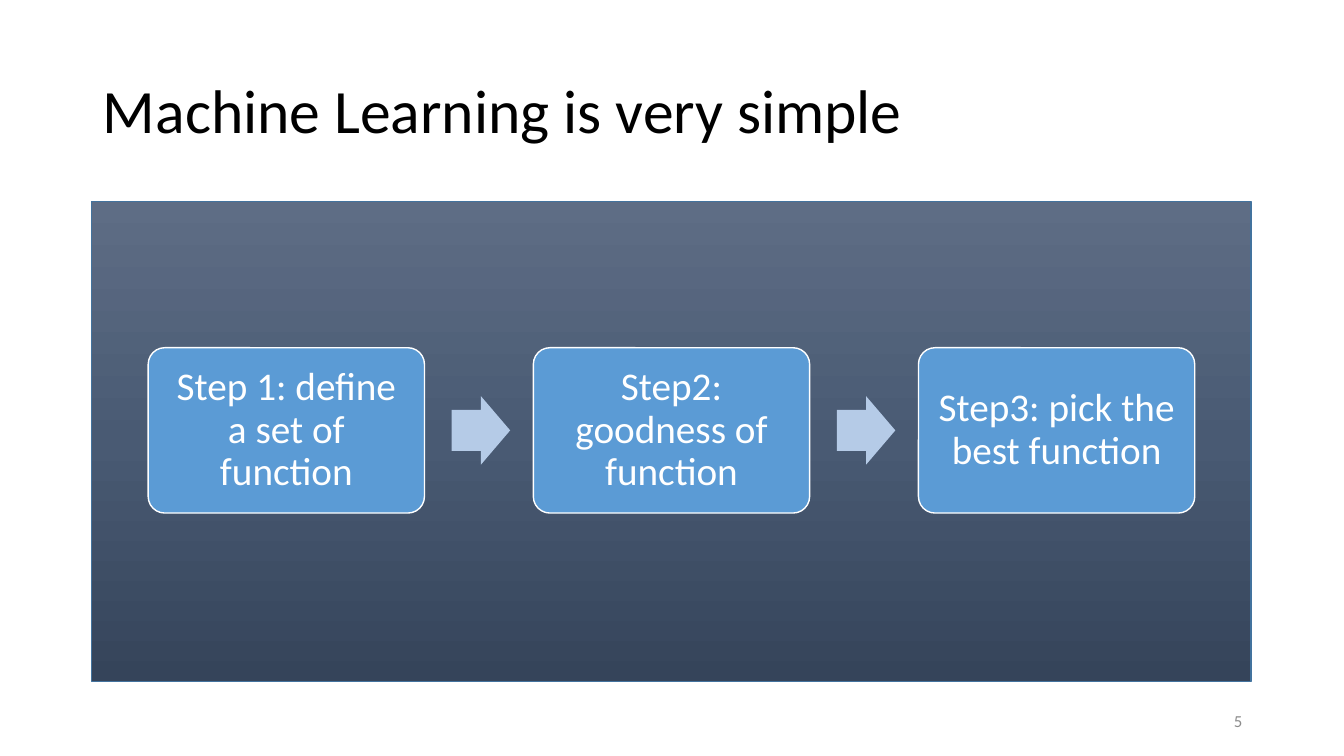
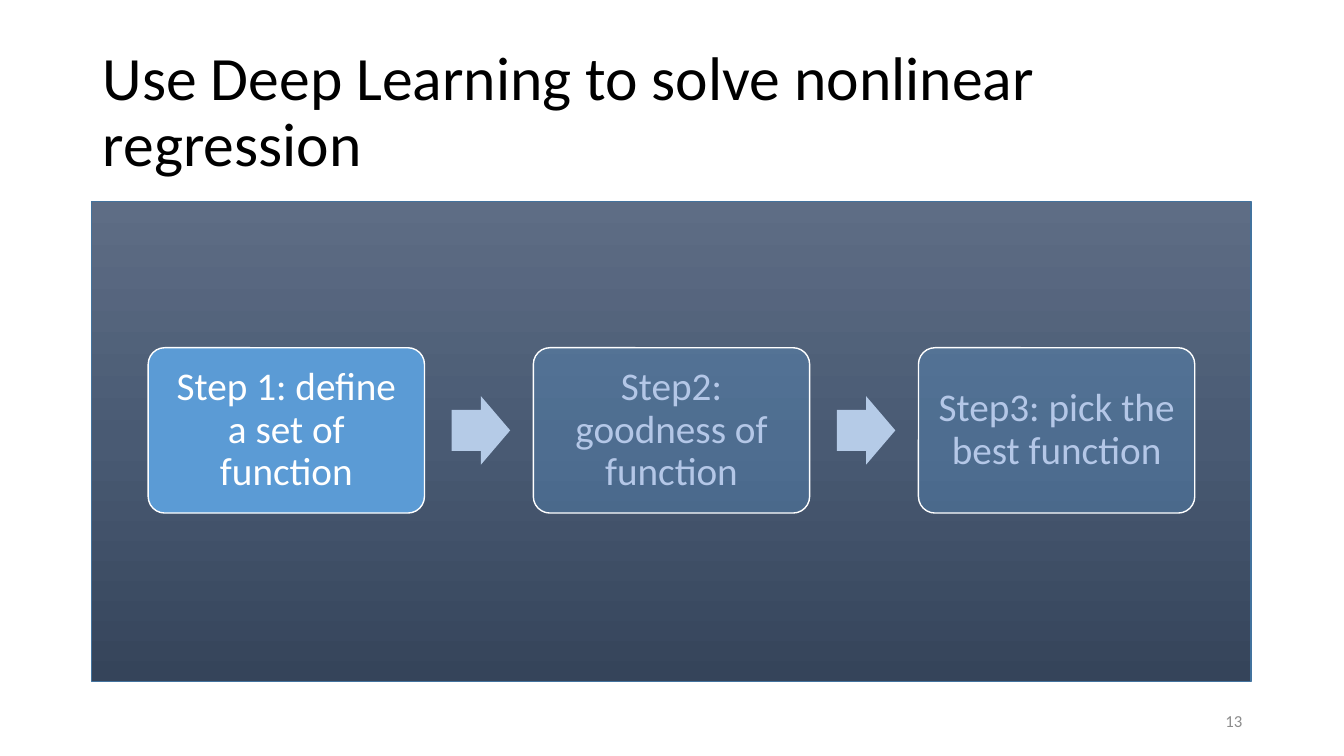
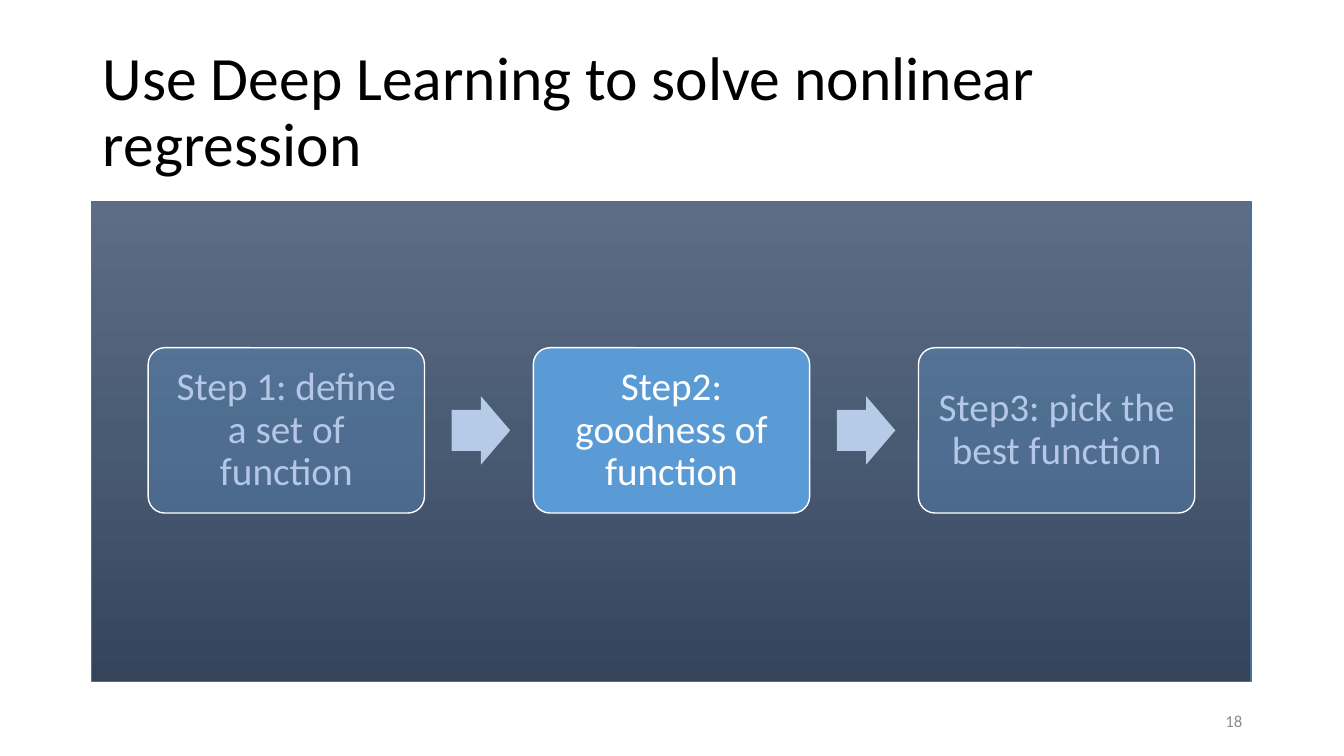
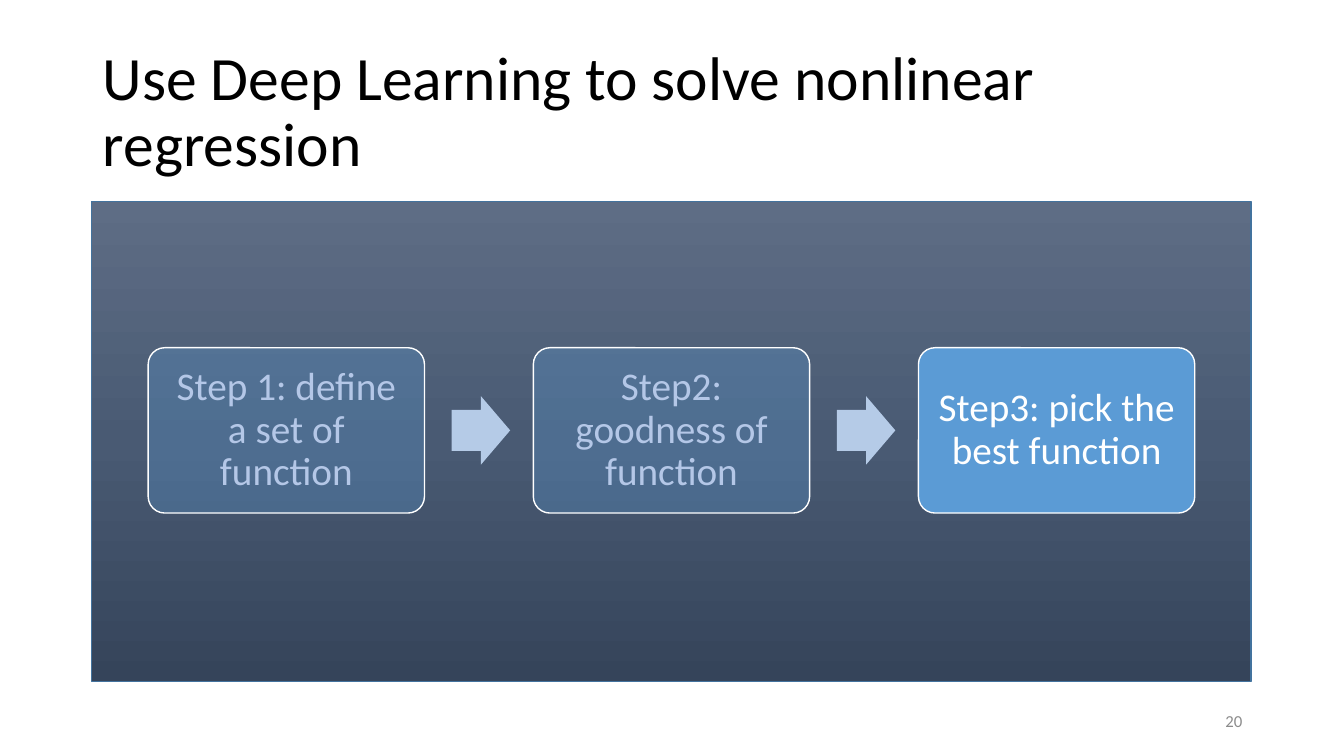
from copy import deepcopy
from pptx import Presentation
from pptx.dml.color import RGBColor
from pptx.enum.shapes import MSO_SHAPE as SHAPE
from pptx.enum.text import MSO_ANCHOR as ANCHOR, MSO_AUTO_SIZE as AUTO, PP_ALIGN as ALIGN
from pptx.oxml.ns import qn
from pptx.util import Emu, Pt

PX = 9144
FONT = "Calibri"
COLORS = {
    "title": "000000",
    "panel_top": "5E6D85",
    "panel_mid": "495A73",
    "panel_bottom": "35445A",
    "panel_line": "43739E",
    "step": "5B9BD5",
    "white": "FFFFFF",
    "faded_text": "B4C7E7",
    "arrow": "B5CBE7",
    "number": "8C8C8C",
}
TITLE_BOX = (92, 40, 1150, 145)
PANEL_BOX = (91, 200, 1150, 476)
NUMBER_BOX = (942, 695, 300, 40)

STEPS = [
    "Step 1: define a set of function",
    "Step2: goodness of function",
    "Step3: pick the best function",
]
DEEP = "Use Deep Learning to solve nonlinear regression"
SLIDES = [
    ("Machine Learning is very simple", "5", {0, 1, 2}),
    (DEEP, "13", {0}),
    (DEEP, "18", {1}),
    (DEEP, "20", {2}),
]


def px(n):
    return Emu(round(n * PX))


def rgb(name):
    return RGBColor.from_string(COLORS[name])


def write(tf, text, size, color, align, spacing=1.0):
    tf.word_wrap = True
    tf.auto_size = AUTO.NONE
    tf.vertical_anchor = ANCHOR.MIDDLE
    p = tf.paragraphs[0]
    p.alignment = align
    p.line_spacing = spacing
    r = p.add_run()
    r.text = text
    r.font.size = Pt(size)
    r.font.name = FONT
    r.font.color.rgb = rgb(color)


def add_block(s, kind, box, line=None):
    sp = s.shapes.add_shape(kind, *map(px, box))
    sp.shadow.inherit = False
    if line:
        sp.line.color.rgb = rgb(line)
        sp.line.width = Pt(1)
    else:
        sp.line.fill.background()
    return sp


def fill_solid(sp, color, opacity=100):
    sp.fill.solid()
    sp.fill.fore_color.rgb = rgb(color)
    if opacity < 100:
        clr = sp._element.spPr.find(qn("a:solidFill"))[0]
        clr.makeelement(qn("a:alpha"))
        alpha = clr.makeelement(qn("a:alpha"), {"val": str(opacity * 1000)})
        clr.append(alpha)


def fill_gradient(sp, colors):
    sp.fill.gradient()
    sp.fill.gradient_angle = 270
    stops = sp._element.spPr.find(qn("a:gradFill")).find(qn("a:gsLst"))
    while len(stops) < len(colors):
        stops.append(deepcopy(stops[0]))
    for i, (stop, color) in enumerate(zip(sp.fill.gradient_stops, colors)):
        stop.position = i / (len(colors) - 1)
        stop.color.rgb = rgb(color)


def add_title(s, box, text):
    sp = s.shapes.title
    sp.left, sp.top, sp.width, sp.height = map(px, box)
    write(sp.text_frame, text, 44, "title", ALIGN.LEFT, 0.9)


def add_step(s, box, text, active):
    sp = add_block(s, SHAPE.ROUNDED_RECTANGLE, box, "white")
    sp.adjustments[0] = 0.1
    fill_solid(sp, "step", 100 if active else 30)
    tf = sp.text_frame
    tf.margin_left = tf.margin_right = tf.margin_top = tf.margin_bottom = px(12)
    write(tf, text, 28, "white" if active else "faded_text", ALIGN.CENTER, 0.9)


def add_arrow(s, box):
    sp = add_block(s, SHAPE.RIGHT_ARROW, box)
    sp.adjustments[0] = 0.6
    sp.adjustments[1] = 0.5
    fill_solid(sp, "arrow")


def add_process(s, box, active):
    x, y, w, h = box
    panel = add_block(s, SHAPE.RECTANGLE, box, "panel_line")
    fill_gradient(panel, ["panel_top", "panel_mid", "panel_bottom"])
    step_w, step_h, arrow_w, arrow_h = 274, 164, 58, 68
    margin, top = 56, y + 145
    pitch = (w - 2 * margin - step_w) / (len(STEPS) - 1)
    for i, text in enumerate(STEPS):
        left = x + margin + i * pitch
        add_step(s, (left, top, step_w, step_h), text, i in active)
        if i < len(STEPS) - 1:
            arrow_top = top + (step_h - arrow_h) / 2
            add_arrow(s, (left + step_w + 27, arrow_top, arrow_w, arrow_h))


def add_number(s, box, text):
    sp = s.shapes.add_textbox(*map(px, box))
    write(sp.text_frame, text, 12, "number", ALIGN.RIGHT)


def main():
    prs = Presentation()
    prs.slide_width, prs.slide_height = px(1333), px(750)
    for title, number, active in SLIDES:
        s = prs.slides.add_slide(prs.slide_layouts[5])
        add_title(s, TITLE_BOX, title)
        add_process(s, PANEL_BOX, active)
        add_number(s, NUMBER_BOX, number)
    prs.save("out.pptx")


if __name__ == "__main__":
    main()
